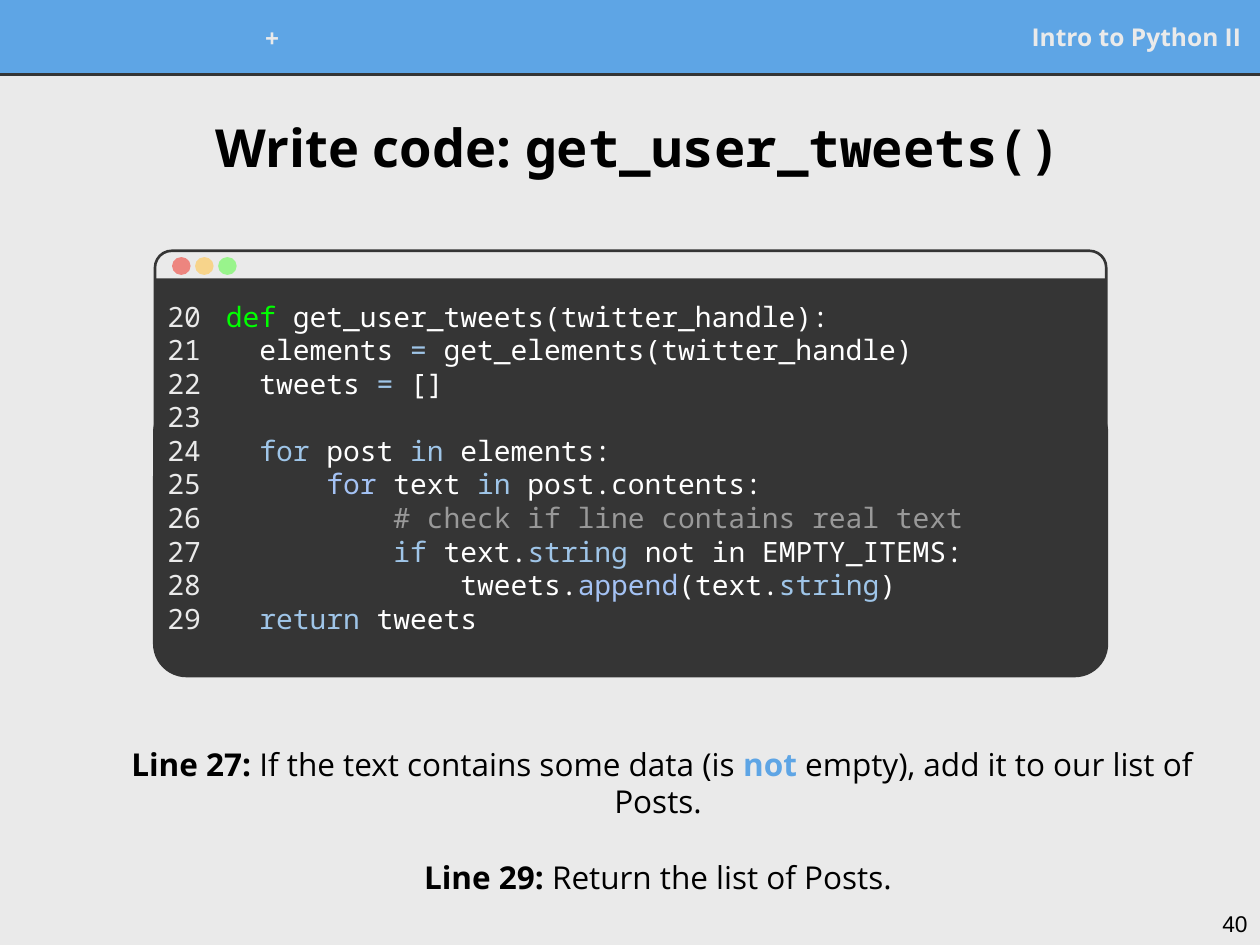
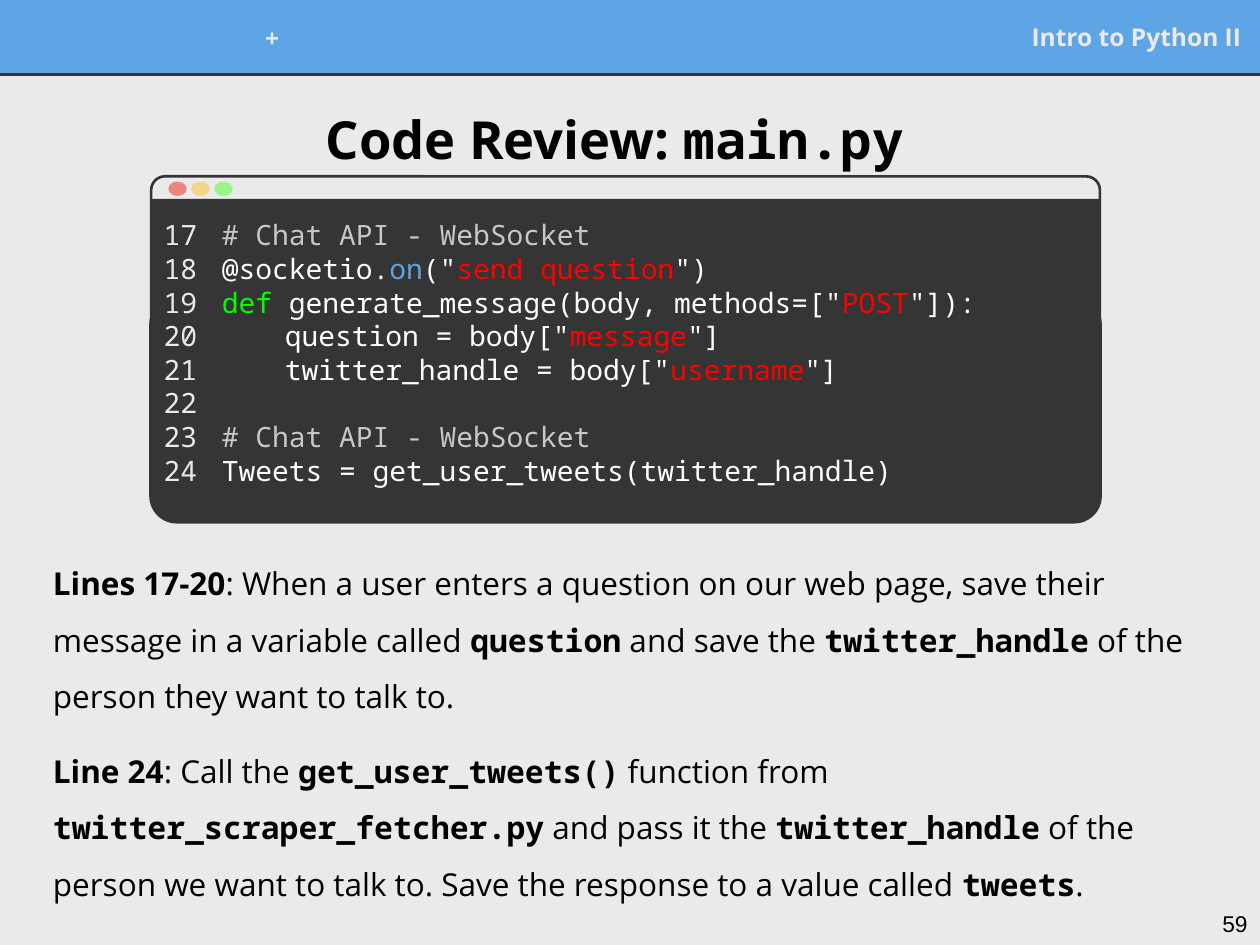
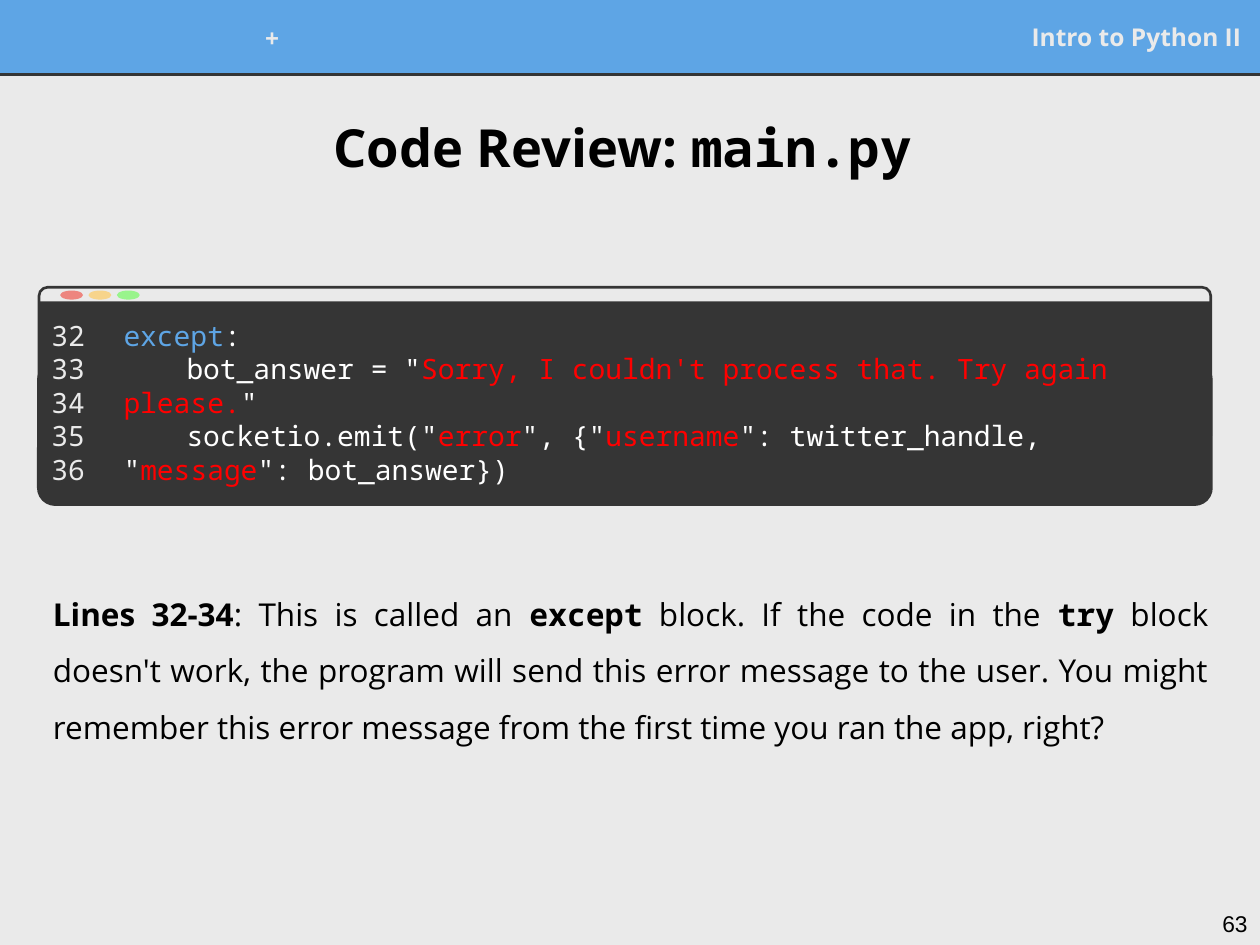
from dataclasses import dataclass

from lxml.etree import SubElement
from pptx import Presentation
from pptx.dml.color import RGBColor
from pptx.enum.shapes import MSO_CONNECTOR, MSO_SHAPE
from pptx.enum.text import MSO_ANCHOR, MSO_AUTO_SIZE, PP_ALIGN
from pptx.oxml.ns import qn
from pptx.util import Inches, Pt

# Colours
PAPER = RGBColor(0xEA, 0xEA, 0xEA)
BLUE = RGBColor(0x5E, 0xA5, 0xE5)
CHARCOAL = RGBColor(0x35, 0x35, 0x35)
BLACK = RGBColor(0x00, 0x00, 0x00)
WHITE = RGBColor(0xFF, 0xFF, 0xFF)
RED = RGBColor(0xFF, 0x00, 0x00)
GREEN = RGBColor(0x00, 0xFF, 0x00)
SKY = RGBColor(0x9F, 0xC5, 0xE8)
PERIWINKLE = RGBColor(0xA4, 0xC2, 0xF4)
GREY = RGBColor(0x99, 0x99, 0x99)
SILVER = RGBColor(0xC8, 0xC8, 0xC8)
WINDOW_BUTTONS = (RGBColor(0xED, 0x85, 0x7F), RGBColor(0xF7, 0xD4, 0x8B),
                  RGBColor(0x99, 0xF4, 0x8C))

# Fonts
SANS = "Open Sans"
MONO = "Noto Sans Mono"
CODE_SIZE = 16
CODE_LINE = 19.2  # height of one code line in points


@dataclass
class Line:
    """One paragraph; a span is plain text or a (text, style) pair."""
    spans: list
    margin: float = 0
    indent: float = 0
    before: float = 0
    after: float = 0
    spacing: float = 1.0


def strong(text):
    return text, {"bold": True}


def code(text):
    return text, {"bold": True, "name": MONO}


def ink(text, colour):
    return text, {"colour": colour}


def style_font(font, name=None, size=None, colour=None, bold=None):
    if name:
        font.name = name
    if size:
        font.size = Pt(size)
    if colour is not None:
        font.color.rgb = colour
    if bold is not None:
        font.bold = bold


def write(frame, lines, align=PP_ALIGN.LEFT, anchor=MSO_ANCHOR.TOP, **font):
    frame.word_wrap = True
    frame.auto_size = MSO_AUTO_SIZE.NONE
    frame.vertical_anchor = anchor
    frame.margin_left = frame.margin_right = Inches(0.1)
    frame.margin_top = frame.margin_bottom = Inches(0.1)
    for number, line in enumerate(lines):
        para = frame.add_paragraph() if number else frame.paragraphs[0]
        properties = para._p.get_or_add_pPr()
        properties.set("marL", str(Inches(line.margin)))
        properties.set("indent", str(Inches(line.indent)))
        SubElement(properties, qn("a:buNone"))
        para.alignment = align
        para.line_spacing = line.spacing
        para.space_before = Pt(line.before)
        para.space_after = Pt(line.after)
        style_font(para.font, **font)
        for piece in line.spans:
            text, style = (piece, {}) if isinstance(piece, str) else piece
            span = para.add_run()
            span.text = text
            style_font(span.font, **style)


def place(shape, left, top, width, height):
    shape.left, shape.top = Inches(left), Inches(top)
    shape.width, shape.height = Inches(width), Inches(height)


def add_text(shapes, box, lines, **options):
    text_box = shapes.add_textbox(*map(Inches, box))
    write(text_box.text_frame, lines, **options)


def add_block(shapes, kind, box, fill=None, line=None, weight=1.0, corner=None):
    block = shapes.add_shape(kind, *map(Inches, box))
    block.shadow.inherit = False
    if corner is not None:
        block.adjustments[0] = corner
    if fill is None:
        block.fill.background()
    else:
        block.fill.solid()
        block.fill.fore_color.rgb = fill
    if line is None:
        block.line.fill.background()
    else:
        block.line.color.rgb = line
        block.line.width = Pt(weight)


def add_header(page, page_number):
    shapes = page.shapes
    add_block(shapes, MSO_SHAPE.RECTANGLE, (0, 0, 10, 0.59), BLUE, BLUE, 0.75)
    rule = shapes.add_connector(MSO_CONNECTOR.STRAIGHT, Inches(0), Inches(0.59),
                                Inches(10), Inches(0.59))
    rule.line.color.rgb = CHARCOAL
    rule.line.width = Pt(1.5)
    SubElement(rule._element.spPr, qn("a:effectLst"))

    label = dict(anchor=MSO_ANCHOR.MIDDLE, name=SANS, size=14, colour=PAPER, bold=True)
    add_text(shapes, (6.24, 0.1, 3.71, 0.38), [Line(["Intro to Python II"])],
             align=PP_ALIGN.RIGHT, **label)
    add_text(shapes, (1.86, 0.11, 0.6, 0.38), [Line(["+"])],
             align=PP_ALIGN.CENTER, **label)
    add_text(shapes, (9.4, 7.12, 0.6, 0.38), [Line([str(page_number)])],
             align=PP_ALIGN.RIGHT, name="Arial", size=13, colour=BLACK)


def add_page(deck, page_number, title, function, title_left=0.24, title_top=0.71):
    page = deck.slides.add_slide(deck.slide_layouts[1])
    add_header(page, page_number)
    heading = page.shapes.title
    place(heading, title_left, title_top, 9.65, 0.9)
    write(heading.text_frame, [Line([title, (function, {"name": MONO})])],
          align=PP_ALIGN.CENTER, anchor=MSO_ANCHOR.MIDDLE,
          name=SANS, size=30, colour=BLACK, bold=True)
    return page


def fill_body(page, top, height, lines, align=PP_ALIGN.LEFT):
    body = page.placeholders[1]
    place(body, 0.32, top, 9.37, height)
    write(body.text_frame, lines, align=align, anchor=MSO_ANCHOR.MIDDLE,
          name=SANS, size=18, colour=BLACK, bold=False)


def add_code_window(page, left, top, width, height, line_numbers, lines):
    """Draw an editor window whose parts are percentages of its size."""
    shapes = page.shapes.add_group_shape().shapes

    def area(x, y, wide, high):
        return (left + x * width / 100, top + y * height / 100,
                wide * width / 100, high * height / 100)

    # Frame, dark pane and rounded foot
    add_block(shapes, MSO_SHAPE.ROUNDED_RECTANGLE, area(0, 0, 100, 72.3),
              line=CHARCOAL, weight=1.5, corner=0.055)
    add_block(shapes, MSO_SHAPE.RECTANGLE, area(0, 6.5, 100, 86.2), CHARCOAL)
    add_block(shapes, MSO_SHAPE.ROUNDED_RECTANGLE, area(0, 35.4, 100, 64.6),
              CHARCOAL, CHARCOAL, 2.25, 0.115)
    for number, colour in enumerate(WINDOW_BUTTONS):
        add_block(shapes, MSO_SHAPE.OVAL,
                  area(1.8 + 2.42 * number, 1.5, 1.95, 4.2), colour)

    # Code and its line numbers
    add_text(shapes, area(6.15, 8.4, 93.85, 86), lines,
             name=MONO, size=CODE_SIZE, colour=WHITE)
    add_text(shapes, area(0, 8.4, 8, 86), [Line([str(n)]) for n in line_numbers],
             name=MONO, size=CODE_SIZE, colour=PAPER)


def build_get_user_tweets(deck):
    page = add_page(deck, 40, "Write code: ", "get_user_tweets()")
    add_code_window(page, 1.23, 1.99, 7.55, 3.37, range(20, 30), [
        Line([ink("def", GREEN), " get_user_tweets(twitter_handle):"]),
        Line(["  elements ", ink("=", SKY), " get_elements(twitter_handle)"]),
        Line(["  tweets ", ink("=", SKY), " []"]),
        Line(["  ", ink("for ", SKY), "post ", ink("in", SKY), " elements:"],
             before=CODE_LINE),
        Line(["      ", ink("for", PERIWINKLE), " text ", ink("in ", SKY),
              "post.contents:"]),
        Line(["          ", ink("# check if line contains real text", GREY)]),
        Line(["          ", ink("if", SKY), " text.", ink("string", SKY),
              " not in EMPTY_ITEMS:"]),
        Line(["              tweets.", ink("append", PERIWINKLE), "(text.",
              ink("string", SKY), ")"]),
        Line(["  ", ink("return", SKY), " tweets"]),
    ])
    fill_body(page, 5.85, 1.32, [
        Line([strong("Line 27: "), "If the text contains some data (is ",
              ("not", {"bold": True, "colour": BLUE}),
              " empty), add it to our list of Posts. "], margin=0.5),
        Line([strong("Line 29: "), "Return the list of Posts. "],
             margin=0.5, before=21.7),
    ], align=PP_ALIGN.CENTER)


def build_chat_review(deck):
    page = add_page(deck, 59, "Code Review: ", "main.py ", 0.18, 0.65)
    add_code_window(page, 1.2, 1.4, 7.53, 2.74, range(17, 25), [
        Line([ink("# Chat API - WebSocket", SILVER)]),
        Line(["@socketio.", ink("on", BLUE), '("', ink("send question", RED), '")']),
        Line([ink("def", GREEN), ' generate_message(body, methods=["',
              ink("POST", RED), '"]):']),
        Line(['question = body["', ink("message", RED), '"]'], indent=0.5),
        Line(['twitter_handle = body["', ink("username", RED), '"]'], indent=0.5),
        Line([ink("# Chat API - WebSocket", SILVER)], before=CODE_LINE),
        Line(["Tweets = get_user_tweets(twitter_handle)"]),
    ])
    fill_body(page, 4.32, 2.85, [
        Line([strong("Lines 17-20"),
              ": When a user enters a question on our web page, save their message "
              "in a variable called ", code("question"), " and save the ",
              code("twitter_handle"), " of the person they want to talk to."],
             spacing=1.5),
        Line([strong("Line 24"), ": Call the ", code("get_user_tweets()"),
              " function from ", code("twitter_scraper_fetcher.py"),
              " and pass it the ", code("twitter_handle"),
              " of the person we want to talk to. Save the response to a value called ",
              code("tweets"), "."], before=10, after=10, spacing=1.5),
    ])


def build_except_review(deck):
    page = add_page(deck, 63, "Code Review: ", "main.py ")
    add_code_window(page, 0.31, 2.28, 9.3, 1.72, range(32, 37), [
        Line([ink("except", BLUE), ":"]),
        Line(['bot_answer = "',
              ink("Sorry, I couldn't process that. Try again please.", RED), '"'],
             indent=0.5),
        Line(['socketio.emit("', ink("error", RED), '", {"', ink("username", RED),
              '": twitter_handle, "', ink("message", RED), '": bot_answer})'],
             indent=0.5),
    ])
    fill_body(page, 3.82, 2.85, [
        Line([strong("Lines 32-34"), ": This is called an ", code("except"),
              " block. If the code in the ", code("try"),
              " block doesn't work, the program will send this error message to the "
              "user. You might remember this error message from the first time you "
              "ran the app, right? "], after=10, spacing=1.5),
    ], align=PP_ALIGN.JUSTIFY)


def main():
    deck = Presentation()
    deck.slide_width, deck.slide_height = Inches(10), Inches(7.5)
    background = deck.slide_master.background.fill
    background.solid()
    background.fore_color.rgb = PAPER
    build_get_user_tweets(deck)
    build_chat_review(deck)
    build_except_review(deck)
    deck.save("out.pptx")


if __name__ == "__main__":
    main()
